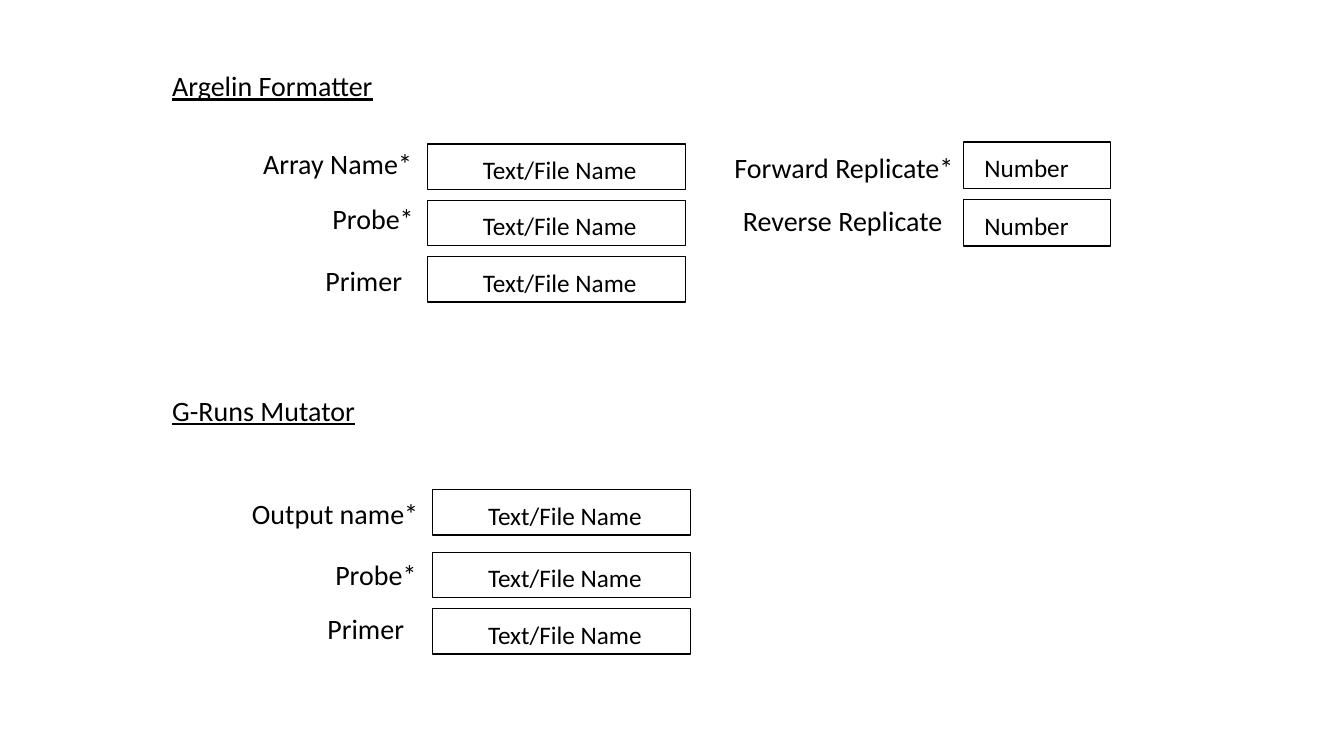
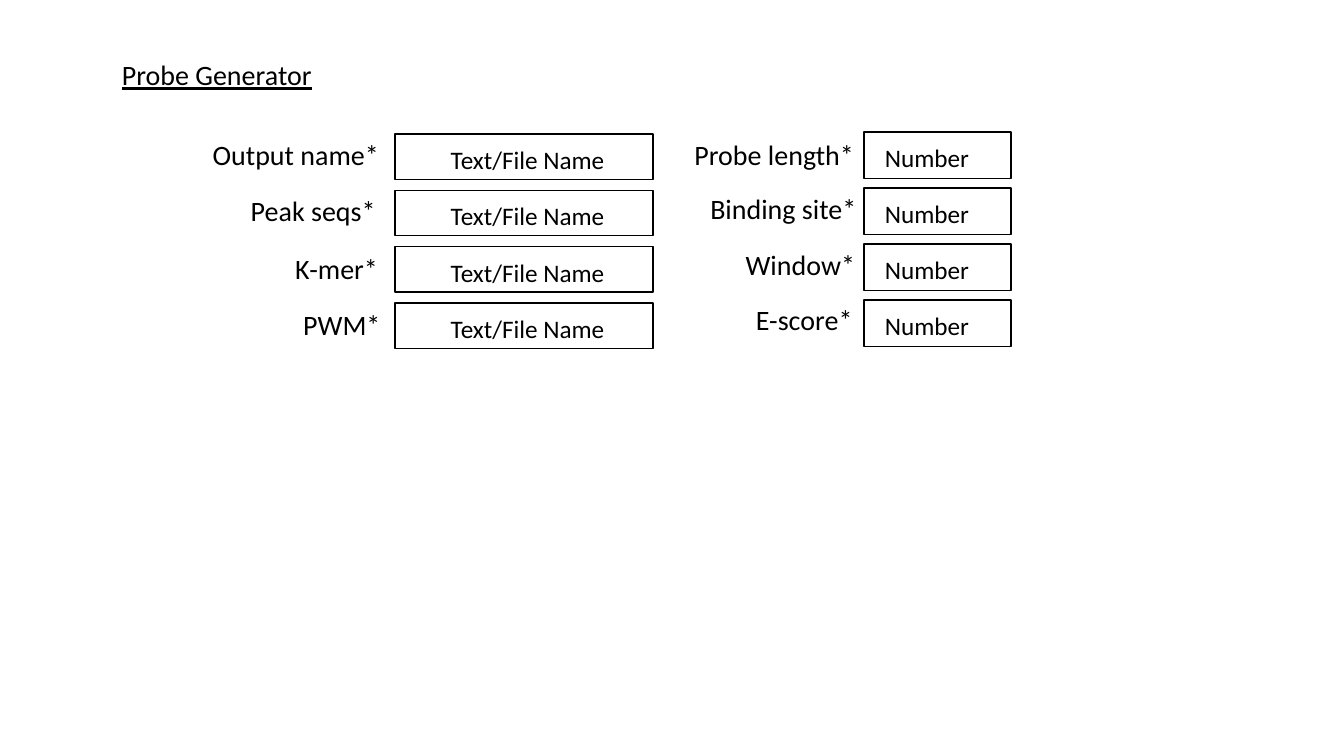
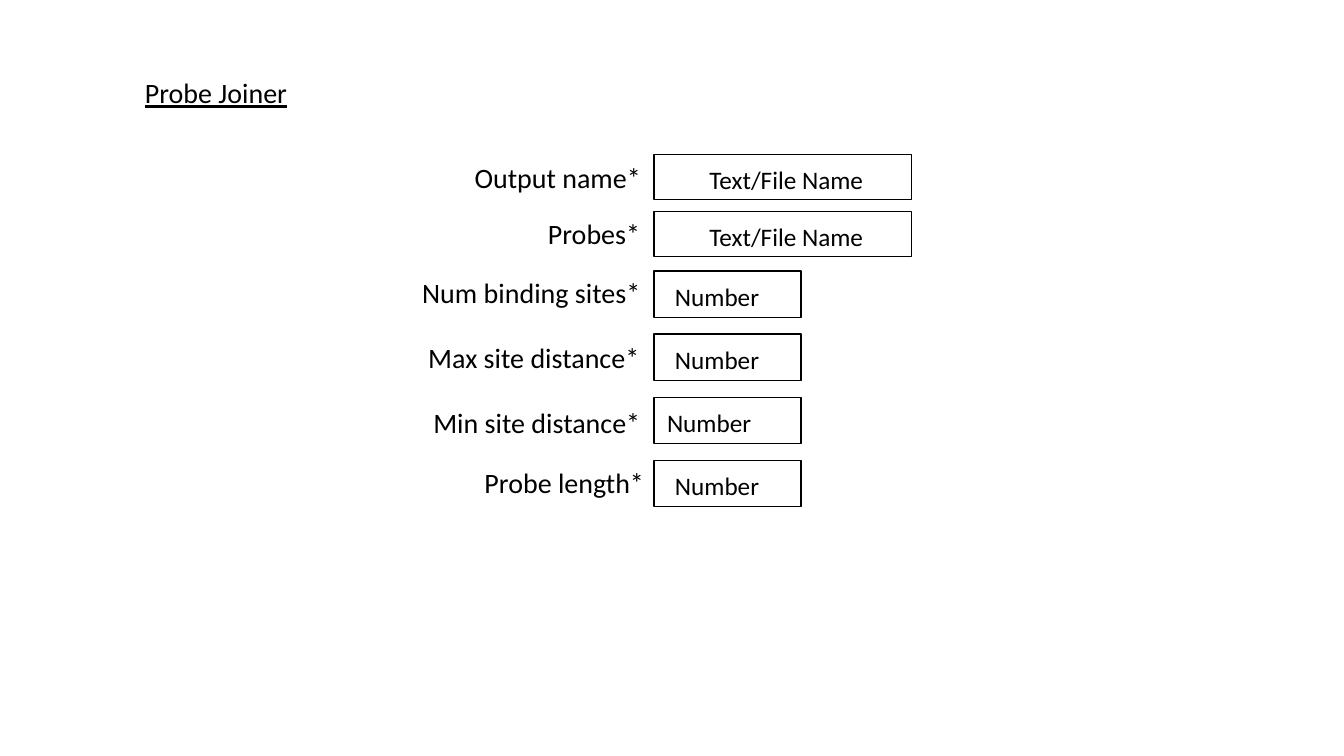
from dataclasses import dataclass

import pptx
import pptx.dml.color
import pptx.enum.shapes
import pptx.enum.text
import pptx.util

Cm = pptx.util.Cm
Pt = pptx.util.Pt


@dataclass(frozen=True)
class Theme:
    font: str = "Calibri"
    ink: pptx.dml.color.RGBColor = pptx.dml.color.RGBColor(0, 0, 0)
    paper: pptx.dml.color.RGBColor = pptx.dml.color.RGBColor(255, 255, 255)
    label_size: int = 20
    field_size: int = 18
    outline: int = 1
    label_height: float = 1.12
    side_inset: float = 0.25
    top_inset: float = 0.13
    field_inset: float = 0.26


@dataclass(frozen=True)
class FieldKind:
    prompt: str
    width: float
    height: float
    indent: float


@dataclass(frozen=True)
class Row:
    label: str
    left: float
    top: float
    indent_shift: float = 0


THEME = Theme()
TEXT = FieldKind("Text/File Name", 6.5, 1.14, 1.4)
NUMBER = FieldKind("Number", 3.71, 1.17, 0.53)


def write(shape, text, size, left_inset, top_inset, right_inset=0, underline=False):
    """Fill a shape with one left-aligned line, placed from its top left corner."""
    frame = shape.text_frame
    frame.auto_size = pptx.enum.text.MSO_AUTO_SIZE.NONE
    frame.word_wrap = True
    frame.vertical_anchor = pptx.enum.text.MSO_ANCHOR.TOP
    frame.margin_left, frame.margin_right = Cm(left_inset), Cm(right_inset)
    frame.margin_top, frame.margin_bottom = Cm(top_inset), 0
    frame.text = text
    para = frame.paragraphs[0]
    para.alignment = pptx.enum.text.PP_ALIGN.LEFT
    para.font.name = THEME.font
    para.font.size = Pt(size)
    para.font.color.rgb = THEME.ink
    para.font.underline = underline


def write_heading(shape, text):
    write(shape, text, THEME.label_size, THEME.side_inset, THEME.top_inset,
          THEME.side_inset, underline=True)


def add_titled_page(deck, text, left, top, width):
    page = deck.slides.add_slide(deck.slide_layouts[5])
    title = page.shapes.title
    title.left, title.top = Cm(left), Cm(top)
    title.width, title.height = Cm(width), Cm(THEME.label_height)
    write_heading(title, text)
    return page


def add_heading(page, text, left, top, width):
    box = page.shapes.add_textbox(Cm(left), Cm(top), Cm(width), Cm(THEME.label_height))
    write_heading(box, text)


def add_field(page, kind, left, top, indent_shift):
    box = page.shapes.add_shape(
        pptx.enum.shapes.MSO_SHAPE.RECTANGLE,
        Cm(left), Cm(top), Cm(kind.width), Cm(kind.height))
    box.shadow.inherit = False
    box.fill.solid()
    box.fill.fore_color.rgb = THEME.paper
    box.line.color.rgb = THEME.ink
    box.line.width = Pt(THEME.outline)
    write(box, kind.prompt, THEME.field_size, kind.indent + indent_shift,
          THEME.field_inset)


def add_form(page, kind, left, top, pitch, rows):
    """Stack equally spaced fields, each with a label that ends at its left edge."""
    for index, row in enumerate(rows):
        add_field(page, kind, left, top + index * pitch, row.indent_shift)
        label = page.shapes.add_textbox(
            Cm(row.left), Cm(row.top), Cm(left - row.left), Cm(THEME.label_height))
        write(label, row.label, THEME.label_size, THEME.side_inset, THEME.top_inset)


def build_formatter_and_mutator(deck):
    page = add_titled_page(deck, "Argelin Formatter", 4.09, 1.6, 6.78)
    add_form(page, TEXT, 10.77, 3.63, 1.42, [
        Row("Array Name*", 6.38, 3.56),
        Row("Probe*", 8.13, 4.95),
        Row("Primer", 7.95, 6.5),
    ])
    add_form(page, NUMBER, 24.28, 3.58, 1.45, [
        Row("Forward Replicate*", 18.26, 3.66),
        Row("Reverse Replicate", 18.47, 5),
    ])
    add_heading(page, "G-Runs Mutator", 4.09, 9.78, 5.92)
    add_form(page, TEXT, 10.9, 12.34, 1.42, [Row("Output name*", 6.1, 12.37)])
    add_form(page, TEXT, 10.9, 13.92, 1.42, [
        Row("Probe*", 8.2, 13.92),
        Row("Primer", 8, 15.27),
    ])


def build_generator(deck):
    page = add_titled_page(deck, "Probe Generator", 2.82, 1.32, 7.39)
    add_form(page, TEXT, 9.96, 3.38, 1.42, [
        Row("Output name*", 5.11, 3.33),
        Row("Peak seqs*", 6.07, 4.75),
        Row("K-mer*", 7.19, 6.2),
        Row("PWM*", 7.39, 7.62),
    ])
    add_form(page, NUMBER, 21.77, 3.33, 1.41, [
        Row("Probe length*", 17.25, 3.33),
        Row("Binding site*", 17.65, 4.7),
        Row("Window*", 18.54, 6.1),
        Row("E-score*", 18.8, 7.49),
    ])


def build_joiner(deck):
    page = add_titled_page(deck, "Probe Joiner", 3.4, 1.78, 7.39)
    add_form(page, TEXT, 16.48, 3.89, 1.44, [
        Row("Output name*", 11.71, 3.91),
        Row("Probes*", 13.56, 5.33),
    ])
    add_form(page, NUMBER, 16.48, 6.83, 1.59, [
        Row("Num binding sites*", 10.39, 6.81),
        Row("Max site distance*", 10.54, 8.46),
        Row("Min site distance*", 10.67, 10.08, indent_shift=-0.2),
        Row("Probe length*", 11.96, 11.61),
    ])


def main():
    deck = pptx.Presentation()
    deck.slide_width, deck.slide_height = Cm(33.87), Cm(19.05)
    build_formatter_and_mutator(deck)
    build_generator(deck)
    build_joiner(deck)
    deck.save("out.pptx")


if __name__ == "__main__":
    main()
